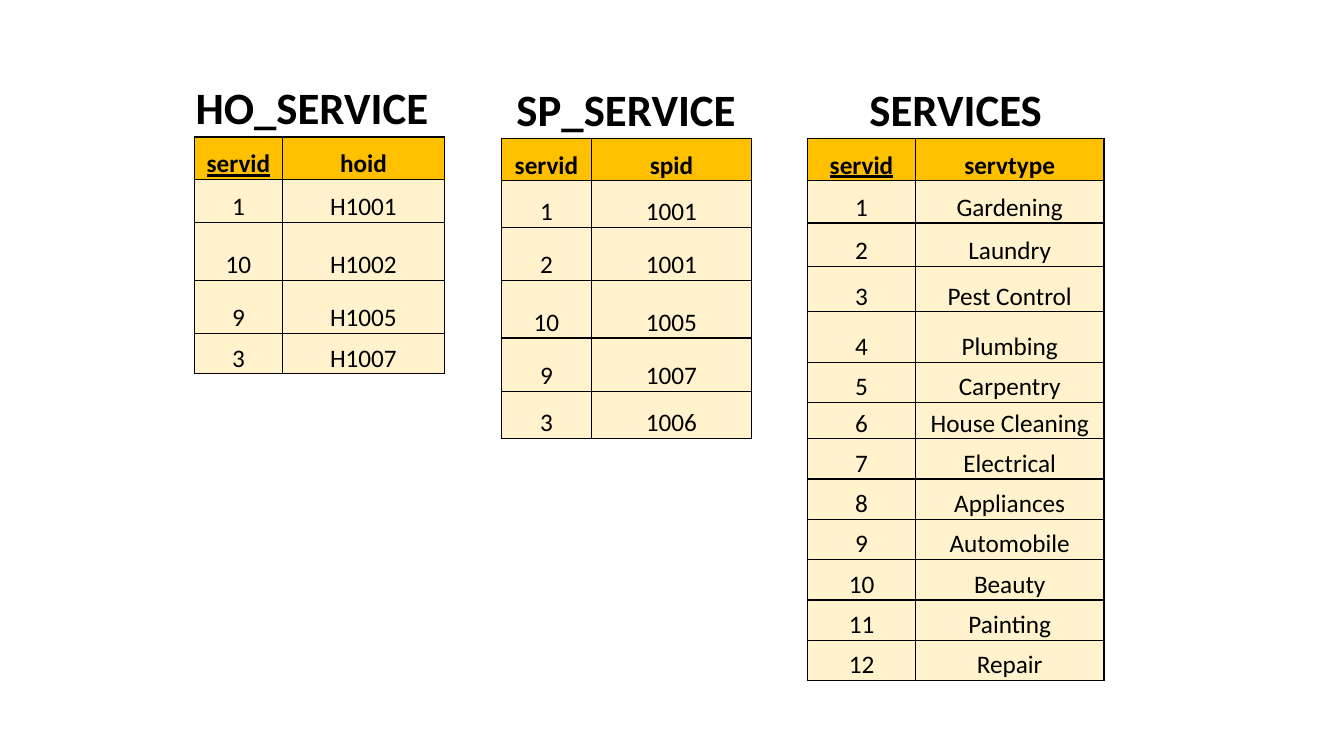
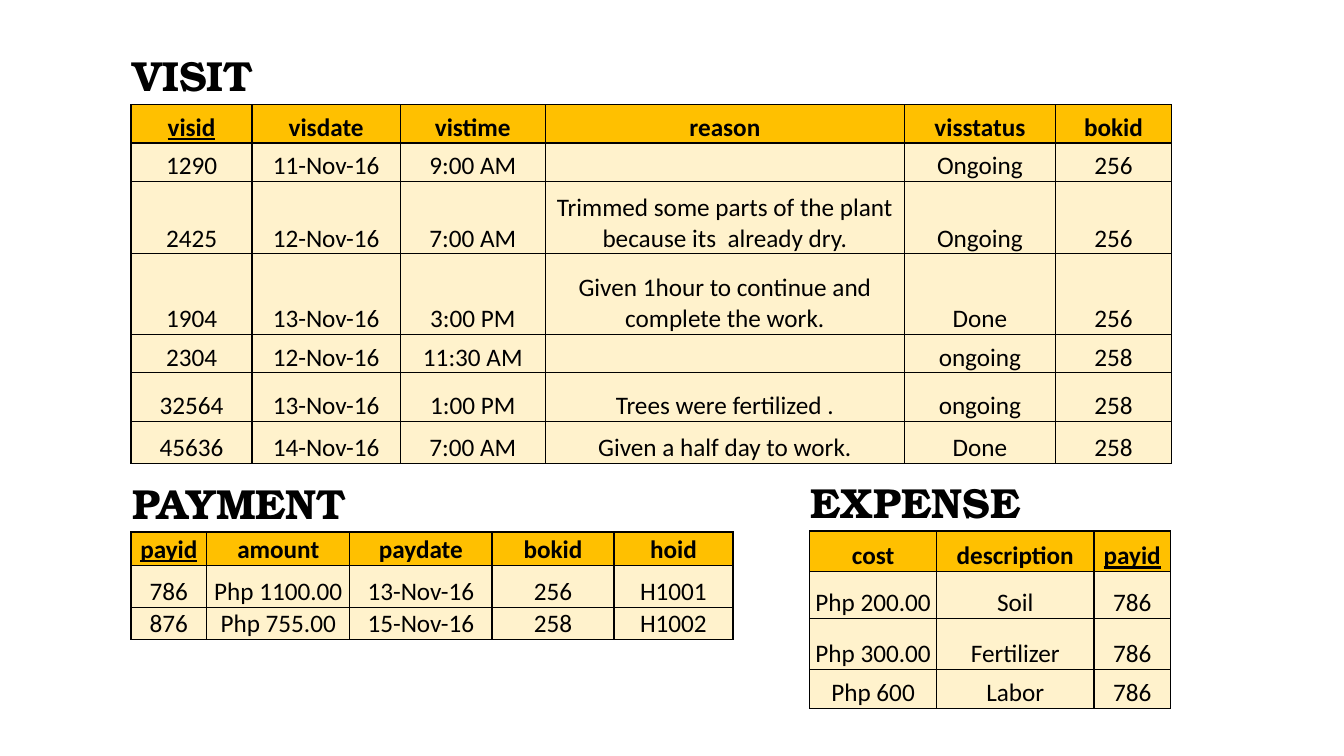
from pptx import Presentation
from pptx.dml.color import RGBColor
from pptx.enum import text as t
from pptx.oxml import parse_xml
from pptx.oxml.ns import nsdecls, qn
from pptx.util import Inches, Pt


def color(code):
    return RGBColor.from_string(code)


class Deck:
    """Shared table style and the slide being filled."""
    INK, HEAD, BODY = "000000", "FFC000", "FFF2CC"
    FONT = "Calibri"
    PLAIN = "{2D5ABB26-0587-4C30-8999-92F81FD0307C}"  # no style, no grid

    def __init__(self):
        self.prs = Presentation()
        self.prs.slide_width = Inches(13.33)
        self.prs.slide_height = Inches(7.5)

    def page(self):
        self.slide = self.prs.slides.add_slide(self.prs.slide_layouts[6])

    def cell(self, cell, words, size=18, font=FONT, bold=False, mid=True, line=False):
        cell.margin_left = cell.margin_right = cell.margin_top = Inches(0.01)
        cell.margin_bottom = 0
        cell.vertical_anchor = t.MSO_ANCHOR.BOTTOM
        cell.text = words
        para = cell.text_frame.paragraphs[0]
        para.alignment = t.PP_ALIGN.CENTER if mid else t.PP_ALIGN.LEFT
        face = para.font
        face.name, face.size = font, Pt(size)
        face.bold, face.underline = bold, line
        face.color.rgb = color(self.INK)

    def border(self, frame):
        # The heading row stays open; every row below it is boxed
        for row in list(frame.element.iter(qn("a:tr")))[1:]:
            for props in row.iter(qn("a:tcPr")):
                for spot, side in enumerate(("lnL", "lnR", "lnT", "lnB")):
                    props.insert(spot, parse_xml(
                        f'<a:{side} {nsdecls("a")} w="12700"><a:solidFill>'
                        f'<a:srgbClr val="{self.INK}"/></a:solidFill></a:{side}>'))

    def table(self, name, left, top, cols, tall, rows, key=None, **look):
        """Heading row, header row and body; key is the underlined column."""
        frame = self.slide.shapes.add_table(
            len(rows) + 1, len(cols), Inches(left), Inches(top),
            Inches(sum(cols)), Inches(sum(tall)))
        grid = frame.table
        grid.first_row = grid.horz_banding = False
        next(frame.element.iter(qn("a:tableStyleId"))).text = self.PLAIN
        for col, wide in zip(grid.columns, cols):
            col.width = Inches(wide)
        for row, high in zip(grid.rows, tall):
            row.height = Inches(high)

        grid.cell(0, 0).merge(grid.cell(0, len(cols) - 1))
        self.cell(grid.cell(0, 0), name, bold=True, **look)
        for r, row in enumerate(rows, 1):
            head = r == 1
            for c, words in enumerate(row):
                cell = grid.cell(r, c)
                self.cell(cell, words, bold=head, line=head and c == key)
                cell.fill.solid()
                cell.fill.fore_color.rgb = color(self.HEAD if head else self.BODY)
        self.border(frame)


deck = Deck()

# Slide 1: services and the two tables that link to them
deck.page()
deck.table("HO_SERVICE", 1.93, 0.75, [0.87, 1.61],
           [0.61, 0.42, 0.43, 0.57, 0.53, 0.4],
           [("servid", "hoid"), ("1", "H1001"), ("10", "H1002"),
            ("9", "H1005"), ("3", "H1007")],
           key=0, size=32, mid=False)
deck.table("SP_SERVICE", 4.97, 0.82, [0.9, 1.58],
           [0.54, 0.42, 0.46, 0.53, 0.57, 0.53, 0.47],
           [("servid", "spid"), ("1", "1001"), ("2", "1001"),
            ("10", "1005"), ("9", "1007"), ("3", "1006")], size=32)
kinds = ["Gardening", "Laundry", "Pest Control", "Plumbing", "Carpentry",
         "House Cleaning", "Electrical", "Appliances", "Automobile",
         "Beauty", "Painting", "Repair"]
deck.table("SERVICES", 8.01, 0.82, [1.07, 1.87],
           [0.54, 0.42, 0.42, 0.43, 0.45, 0.5, 0.4, 0.36] + [0.4] * 6,
           [("servid", "servtype")] + [(str(n), kind) for n, kind in enumerate(kinds, 1)],
           key=0, size=32)

# Slide 2: visits, payments and expenses
deck.page()
serif = dict(size=30, font="TeX Gyre Bonum", mid=False)
deck.table("VISIT", 1.3, 0.42, [1.2, 1.47, 1.44, 3.56, 1.5, 1.15],
           [0.54, 0.38, 0.38, 0.72, 0.8, 0.38, 0.48, 0.42],
           [("visid", "visdate", "vistime", "reason", "visstatus", "bokid"),
            ("1290", "11-Nov-16", "9:00 AM", "", "Ongoing", "256"),
            ("2425", "12-Nov-16", "7:00 AM",
             "Trimmed some parts of the plant because its  already dry.",
             "Ongoing", "256"),
            ("1904", "13-Nov-16", "3:00 PM",
             "Given 1hour to continue and complete the work.", "Done", "256"),
            ("2304", "12-Nov-16", "11:30 AM", "", "ongoing", "258"),
            ("32564", "13-Nov-16", "1:00 PM", "Trees were fertilized .",
             "ongoing", "258"),
            ("45636", "14-Nov-16", "7:00 AM", "Given a half day to work.",
             "Done", "258")], key=0, **serif)
deck.table("PAYMENT", 1.3, 4.66, [0.75, 1.42, 1.41, 1.21, 1.18],
           [0.54, 0.33, 0.42, 0.31],
           [("payid", "amount", "paydate", "bokid", "hoid"),
            ("786", "Php 1100.00", "13-Nov-16", "256", "H1001"),
            ("876", "Php 755.00", "15-Nov-16", "258", "H1002")], key=0, **serif)
deck.table("EXPENSE", 8.03, 4.65, [1.26, 1.56, 0.76],
           [0.54, 0.4, 0.47, 0.5, 0.39],
           [("cost", "description", "payid"), ("Php 200.00", "Soil", "786"),
            ("Php 300.00", "Fertilizer", "786"), ("Php 600", "Labor", "786")],
           key=2, **serif)

deck.prs.save("out.pptx")
